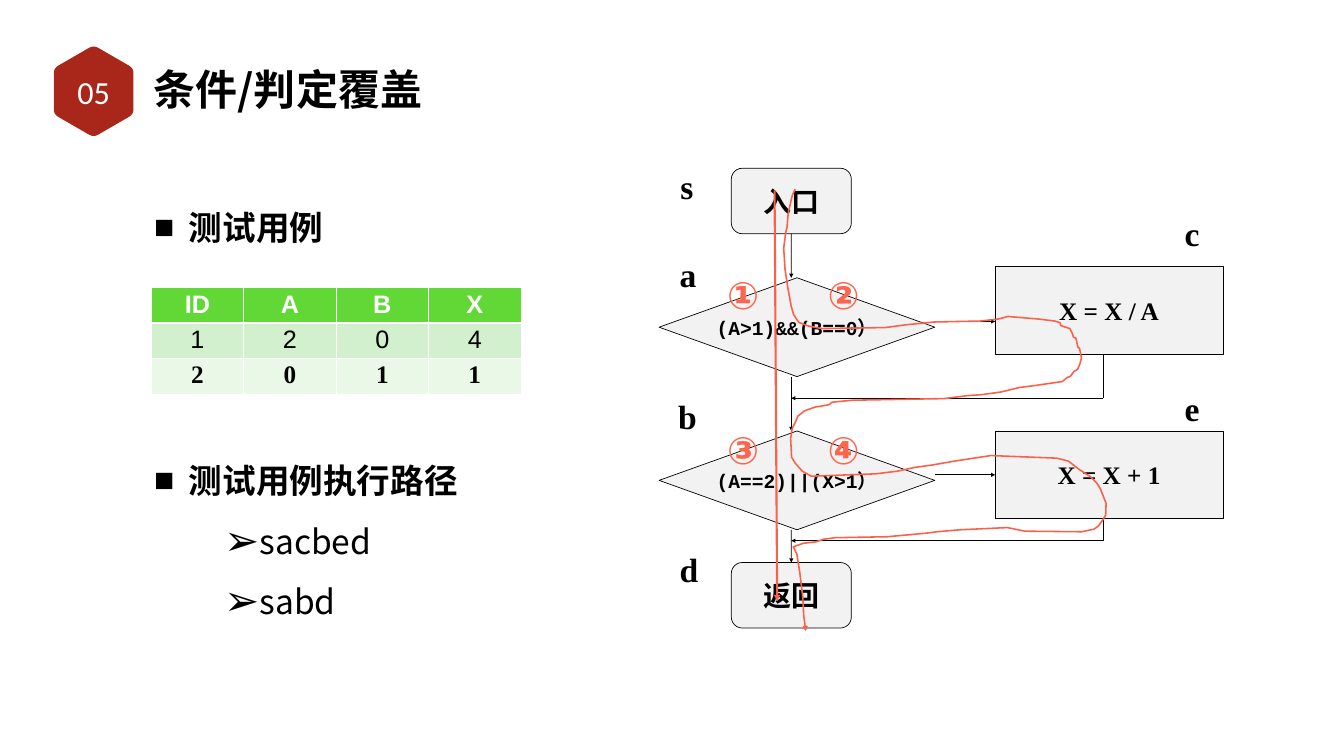
from math import cos, pi, sin

from lxml.etree import SubElement
from pptx import Presentation
from pptx.dml.color import RGBColor
from pptx.enum.shapes import MSO_CONNECTOR, MSO_SHAPE
from pptx.enum.text import MSO_ANCHOR, MSO_AUTO_SIZE, PP_ALIGN
from pptx.oxml.ns import qn
from pptx.util import Cm, Pt

BLACK = RGBColor(0x00, 0x00, 0x00)
WHITE = RGBColor(0xFF, 0xFF, 0xFF)
BADGE_RED = RGBColor(0xA8, 0x27, 0x1A)
NODE_GREY = RGBColor(0xF2, 0xF2, 0xF2)
TRACE_RED = RGBColor(0xFE, 0x5F, 0x48)
NUMBER_RED = RGBColor(0xFF, 0x64, 0x4E)
ROW_GREENS = [RGBColor(0x61, 0xD8, 0x36), RGBColor(0xD2, 0xF0, 0xCE), RGBColor(0xEA, 0xF8, 0xE8)]
CJK, SERIF, SANS, MONO = "Noto Sans CJK SC", "Times New Roman", "Arial", "Courier New"

# Route of test case 1, in cm from the corner of the flow chart
ROUTE = [
    (6.88, 1.33), (6.73, 1.66), (6.53, 2.54), (6.47, 3.23), (6.4, 3.53), (6.3, 4.3), (6.37, 5.39),
    (6.5, 6.25), (6.68, 7.24), (6.8, 7.65), (6.98, 7.93), (7.08, 8.06), (7.54, 8.23), (8.23, 8.36),
    (11.43, 8.31), (12.37, 8.18), (13.87, 8.03), (16.2, 7.98), (17.12, 7.88), (17.6, 7.75),
    (19.15, 7.88), (19.96, 7.98), (20.22, 8.06), (20.27, 8.21), (20.57, 8.31), (20.72, 8.36),
    (20.85, 8.61), (20.9, 8.79), (21.03, 8.84), (21.13, 9.3), (21.21, 9.35), (21.31, 9.83),
    (21.23, 10.14), (21.11, 10.42), (20.93, 10.52), (20.75, 10.77), (20.6, 10.82), (20.34, 11.03),
    (18.97, 11.23), (18.18, 11.33), (17.24, 11.56), (16.28, 11.69), (15.57, 11.74), (14.37, 11.89),
    (9.78, 11.97), (8.74, 12.07), (8.58, 12.2), (7.87, 12.32), (7.36, 12.5), (7.01, 12.78),
    (6.91, 13.03), (6.73, 13.39), (6.65, 13.9), (6.7, 14.84), (6.88, 15.14), (7.24, 15.55),
    (7.69, 15.8), (10.95, 15.68), (12.01, 15.55), (12.95, 15.35), (13.76, 15.24), (14.91, 15.04),
    (16.74, 14.76), (20.06, 14.89), (20.65, 15.04), (21.21, 15.47), (21.77, 15.83), (22.07, 16.13),
    (22.25, 16.41), (22.55, 17.17), (22.53, 17.76), (22.38, 18.01), (22.15, 18.32), (21.94, 18.47),
    (21.31, 18.6), (18.46, 18.57), (17.57, 18.39), (15.19, 18.5), (14.02, 18.6), (13.49, 18.67),
    (11.53, 18.85), (8.89, 18.9), (8.3, 18.98), (7.92, 19.11), (7.29, 19.18), (6.78, 19.36),
    (6.96, 19.71), (7.11, 20.65), (7.26, 21.87), (7.31, 22.81), (7.41, 23.6),
]


def format_runs(paragraph, size, font_name, color=BLACK, bold=True):
    for run in paragraph.runs:
        font = run.font
        font.size, font.name, font.bold = Pt(size), font_name, bold
        font.color.rgb = color
        east_asian = SubElement(run._r.rPr, qn("a:ea"))
        east_asian.set("typeface", CJK)


def add_label(slide, text, center_x, center_y, size, font_name, color=BLACK, bold=True):
    """Add a one-line text box centred on a point."""
    width, height = 4, 2.6
    box = slide.shapes.add_textbox(Cm(center_x - width / 2), Cm(center_y - height / 2), Cm(width), Cm(height))
    frame = box.text_frame
    frame.text = text
    frame.word_wrap, frame.vertical_anchor = True, MSO_ANCHOR.MIDDLE
    frame.paragraphs[0].alignment = PP_ALIGN.CENTER
    format_runs(frame.paragraphs[0], size, font_name, color, bold)
    return box


def add_outline(slide, points, close):
    (start_x, start_y), *others = [(Cm(x), Cm(y)) for x, y in points]
    builder = slide.shapes.build_freeform(start_x, start_y)
    builder.add_line_segments(others, close=close)
    shape = builder.convert_to_shape()
    shape.shadow.inherit = False
    return shape


def add_arrowhead(line, kind="triangle"):
    SubElement(line._get_or_add_ln(), qn("a:tailEnd")).set("type", kind)


def add_line(slide, start, end, arrow=True, color=BLACK, width=1):
    connector = slide.shapes.add_connector(MSO_CONNECTOR.STRAIGHT, *(Cm(value) for value in (*start, *end)))
    connector.line.color.rgb, connector.line.width = color, Pt(width)
    SubElement(connector._element.spPr, qn("a:effectLst"))
    if arrow:
        add_arrowhead(connector.line)
    return connector


def add_badge(slide, center_x, center_y, radius, text):
    """Add a hexagon with rounded corners and a number on it."""
    corners = [(center_x + radius * sin(i * pi / 3), center_y - radius * cos(i * pi / 3)) for i in range(6)]
    cut = 0.26 / radius
    points = []
    for i, corner in enumerate(corners):
        before, after = corners[i - 1], corners[(i + 1) % 6]
        for t in (0, 0.25, 0.5, 0.75, 1):
            points.append(tuple(c + cut * ((1 - t) ** 2 * (b - c) + t ** 2 * (a - c))
                                for b, c, a in zip(before, corner, after)))
    hexagon = add_outline(slide, points, close=True)
    hexagon.fill.solid()
    hexagon.fill.fore_color.rgb = BADGE_RED
    hexagon.line.fill.background()
    add_label(slide, text, center_x, center_y + 0.02, 46, "Calibri", WHITE, False)


def fill_placeholder(placeholder, left, top, width, height, lines, anchor):
    placeholder.left, placeholder.top, placeholder.width, placeholder.height = map(Cm, (left, top, width, height))
    frame = placeholder.text_frame
    frame.text = "\n".join(lines)
    frame.auto_size, frame.word_wrap, frame.vertical_anchor = MSO_AUTO_SIZE.NONE, True, anchor
    frame.margin_left = frame.margin_right = frame.margin_top = frame.margin_bottom = Cm(0.15)
    return frame.paragraphs


def fill_title(placeholder, left, top, width, height, text):
    paragraph, = fill_placeholder(placeholder, left, top, width, height, [text], MSO_ANCHOR.MIDDLE)
    paragraph.alignment = PP_ALIGN.LEFT
    format_runs(paragraph, 60, CJK)


def fill_list(placeholder, left, top, width, height, heading, items=()):
    paragraphs = fill_placeholder(placeholder, left, top, width, height, [heading, *items], MSO_ANCHOR.TOP)
    for i, paragraph in enumerate(paragraphs):
        is_heading = i == 0
        paragraph.level = 0 if is_heading else 1
        properties = paragraph._p.get_or_add_pPr()
        properties.set("marL", str(Cm(1.75 if is_heading else 5.28)))
        properties.set("indent", str(Cm(-1.75)))
        if not is_heading:
            SubElement(properties, qn("a:buSzPct")).set("val", "125000")
        SubElement(properties, qn("a:buFont")).set("typeface", SANS)
        SubElement(properties, qn("a:buChar")).set("char", "■" if is_heading else "➢")
        paragraph.space_before = Pt(0)
        paragraph.line_spacing = 2.0 if is_heading else 1.5
        format_runs(paragraph, 48, CJK, bold=is_heading)


def add_cell_borders(cell, bottom_width):
    properties = cell._tc.get_or_add_tcPr()
    for side in ("lnL", "lnR", "lnT", "lnB"):
        border = SubElement(properties, qn(f"a:{side}"), w=str(Pt(bottom_width if side == "lnB" else 1)))
        SubElement(SubElement(border, qn("a:solidFill")), qn("a:srgbClr")).set("val", str(WHITE))


def add_case_table(slide, left, top, width):
    rows = [["ID", "A", "B", "X"], ["1", "2", "0", "4"], ["2", "0", "1", "1"]]
    heights = [1.67, 1.8, 1.8]
    styles = [(SANS, WHITE, True), (SANS, BLACK, False), (SERIF, BLACK, True)]
    table = slide.shapes.add_table(3, 4, Cm(left), Cm(top), Cm(width), Cm(sum(heights))).table
    for r, values in enumerate(rows):
        table.rows[r].height = Cm(heights[r])
        for c, value in enumerate(values):
            cell = table.cell(r, c)
            cell.text = value
            add_cell_borders(cell, 3 if r == 0 else 1)
            cell.fill.solid()
            cell.fill.fore_color.rgb = ROW_GREENS[r]
            paragraph = cell.text_frame.paragraphs[0]
            paragraph.alignment = PP_ALIGN.CENTER
            format_runs(paragraph, 36, *styles[r])


def add_node(slide, kind, left, top, width, height, text, size, font_name=SERIF):
    node = slide.shapes.add_shape(kind, Cm(left), Cm(top), Cm(width), Cm(height))
    node.shadow.inherit = False
    node.fill.solid()
    node.fill.fore_color.rgb = NODE_GREY
    node.line.color.rgb, node.line.width = BLACK, Pt(1)
    frame = node.text_frame
    frame.text = text
    frame.word_wrap, frame.vertical_anchor = False, MSO_ANCHOR.MIDDLE
    frame.paragraphs[0].alignment = PP_ALIGN.CENTER
    format_runs(frame.paragraphs[0], size, font_name)
    return node


def add_flow_chart(slide, left, top):
    def at(x, y):
        return left + x, top + y

    trunk, return_x, diamond_right, process_left = 6.68, 22.4, 13.92, 16.96
    entry, leave = [add_node(slide, MSO_SHAPE.FLOWCHART_ALTERNATE_PROCESS, *at(3.66, y), 6.05, 3.3, text, 40)
                    for y, text in ((0.28, "入口"), (20.15, "返回"))]
    for y, text in ((5.8, "(A>1)&&(B==0）"), (13.52, "(A==2)||(X>1）")):
        add_node(slide, MSO_SHAPE.FLOWCHART_DECISION, *at(0.02, y), 13.9, 4.98, text, 28, MONO)
    _, increment = [add_node(slide, MSO_SHAPE.FLOWCHART_PROCESS, *at(process_left, y), 11.48, 4.42, text, 36)
                    for y, text in ((5.24, "X = X / A"), (13.52, "X = X + 1"))]

    down = [add_line(slide, at(trunk, start), at(trunk, end))
            for start, end in ((3.58, 5.8), (10.78, 13.52), (18.5, 20.15))]
    down[0].begin_connect(entry, 2)
    down[-1].end_connect(leave, 0)
    branches = [add_line(slide, at(diamond_right, y), at(process_left, y)) for y in (8, 15.73)]
    branches[-1].end_connect(increment, 1)
    for start, end in ((9.66, 11.87), (17.94, 19.05)):
        add_line(slide, at(return_x, start), at(return_x, end), arrow=False)
        add_line(slide, at(return_x, end), at(trunk, end))

    for text, x, y in (("s", 1.42, 1.18), ("a", 1.48, 5.6), ("b", 1.45, 12.76),
                       ("d", 1.53, 20.48), ("c", 26.88, 3.55), ("e", 26.88, 12.38)):
        add_label(slide, text, *at(x, y), 48, SERIF)
    for i, text in enumerate("①②③④"):
        label = add_label(slide, text, *at((4.25, 9.32)[i % 2], (6.65, 14.47)[i // 2]), 54, SANS, NUMBER_RED)
        properties = label.text_frame.paragraphs[0].runs[0]._r.rPr
        outline = properties.makeelement(qn("a:ln"), {"w": str(Pt(0.75))})
        SubElement(SubElement(outline, qn("a:solidFill")), qn("a:srgbClr")).set("val", str(WHITE))
        properties.insert(0, outline)

    route = add_outline(slide, [at(x, y) for x, y in ROUTE], close=False)
    route.fill.background()
    route.line.color.rgb, route.line.width = TRACE_RED, Pt(2.25)
    add_arrowhead(route.line, "arrow")
    add_line(slide, at(5.84, 1.4), at(5.97, 22.1), color=TRACE_RED, width=3)


def main():
    presentation = Presentation()
    presentation.slide_width, presentation.slide_height = Cm(67.74), Cm(38.1)
    slide = presentation.slides.add_slide(presentation.slide_layouts[3])
    title, cases, paths = slide.placeholders
    add_badge(slide, 4.72, 4.6, 2.32, "05")
    fill_title(title, 7.6, 3, 15.3, 2.9, "条件/判定覆盖")
    fill_list(cases, 7.62, 8.23, 20.62, 6.63, "测试用例")
    add_case_table(slide, 7.62, 14.5, 18.64)
    fill_list(paths, 7.62, 21, 20.62, 15.54, "测试用例执行路径", ["sacbed", "sabd"])
    add_flow_chart(slide, 33.2, 8.2)
    presentation.save("out.pptx")


if __name__ == "__main__":
    main()
